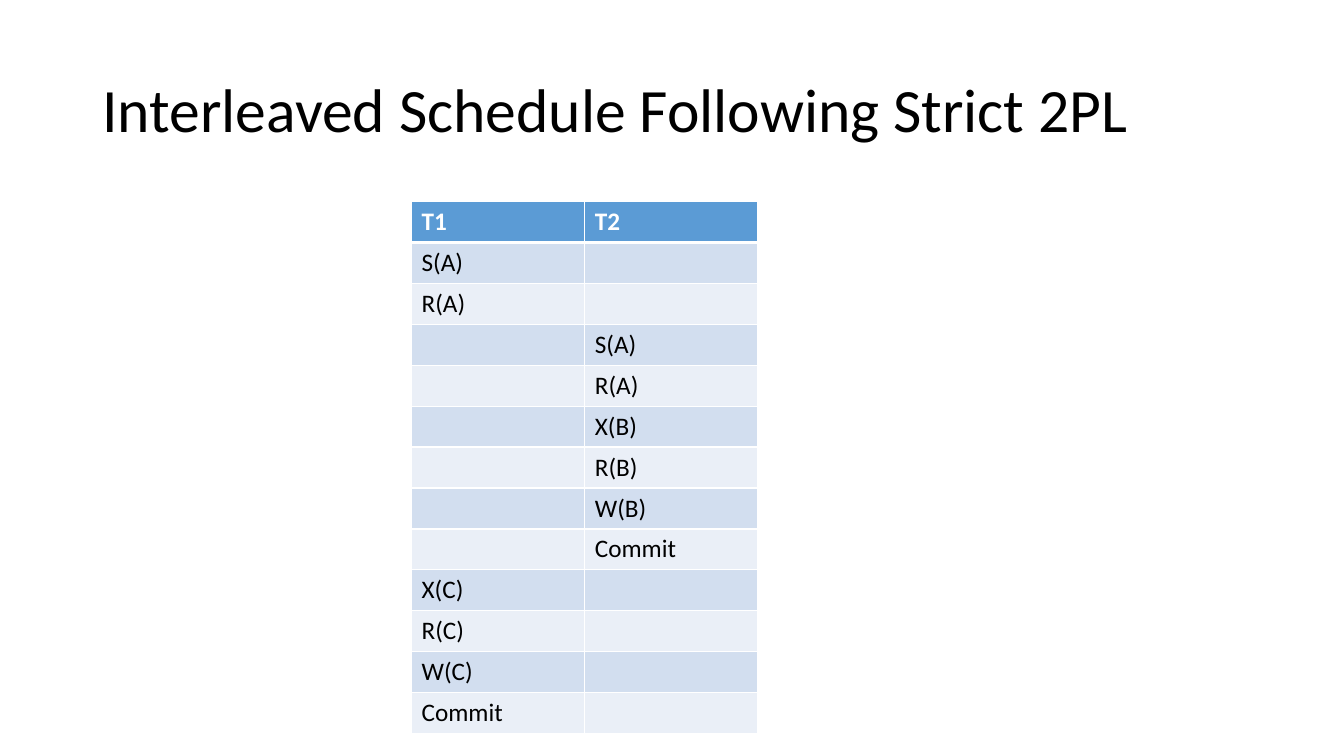
import pptx
import pptx.util
import pptx.dml.color
import pptx.enum.text
import pptx.oxml

PX = 9525  # EMU per px, 96 px to the inch
FONT = "Calibri"
COLORS = {
    "text": "000000",
    "white": "FFFFFF",
    "head": "5B9BD5",
    "dark": "D2DEEF",
    "light": "EAEFF7",
}
NS = "http://schemas.openxmlformats.org/drawingml/2006/main"

# Each step: column of the transaction, action
STEPS = [
    (0, "S(A)"), (0, "R(A)"),
    (1, "S(A)"), (1, "R(A)"), (1, "X(B)"), (1, "R(B)"), (1, "W(B)"), (1, "Commit"),
    (0, "X(C)"), (0, "R(C)"), (0, "W(C)"), (0, "Commit"),
]


def px(n):
    return pptx.util.Emu(n * PX)


def color(name):
    return pptx.dml.color.RGBColor.from_string(COLORS[name])


def add_run(para, text, size, tint, bold=False):
    run = para.add_run()
    run.text = text
    run.font.name = FONT
    run.font.size = pptx.util.Pt(size)
    run.font.bold = bold
    run.font.color.rgb = color(tint)


def add_title(slide, text):
    title = slide.shapes.title
    title.left, title.top, title.width, title.height = map(px, (88, 38, 1104, 139))
    frame = title.text_frame
    frame.word_wrap = True
    frame.auto_size = pptx.enum.text.MSO_AUTO_SIZE.NONE
    frame.vertical_anchor = pptx.enum.text.MSO_ANCHOR.MIDDLE
    para = frame.paragraphs[0]
    para.alignment = pptx.enum.text.PP_ALIGN.LEFT
    para.line_spacing = 0.9
    add_run(para, text, 44, "text")


def set_edges(cell, widths):
    props = cell._tc.get_or_add_tcPr()
    for i, (side, width) in enumerate(widths.items()):
        line = pptx.oxml.parse_xml(
            f'<a:ln{side} xmlns:a="{NS}" w="{pptx.util.Pt(width)}"><a:solidFill>'
            f'<a:srgbClr val="{COLORS["white"]}"/></a:solidFill></a:ln{side}>')
        props.insert(i, line)


def add_table(slide, rows, left, top, wide, high):
    count = len(rows[0])
    table = slide.shapes.add_table(
        len(rows), count, px(left), px(top),
        px(wide * count), px(high * len(rows))).table
    for r, row in enumerate(rows):
        table.rows[r].height = px(high)
        head = r == 0
        fill = "head" if head else ("light", "dark")[r % 2]
        for c, text in enumerate(row):
            cell = table.cell(r, c)
            # The rule below the header is thicker
            set_edges(cell, {"L": 1, "R": 1, "T": 3 if r == 1 else 1,
                             "B": 3 if head else 1})
            cell.fill.solid()
            cell.fill.fore_color.rgb = color(fill)
            if text:
                add_run(cell.text_frame.paragraphs[0], text, 18,
                        "white" if head else "text", head)


def main():
    deck = pptx.Presentation()
    deck.slide_width, deck.slide_height = px(1280), px(720)
    slide = deck.slides.add_slide(deck.slide_layouts[5])

    # Title
    add_title(slide, "Interleaved Schedule Following Strict 2PL")

    # Schedule
    rows = [["T1", "T2"]]
    rows += [[act if c == col else "" for c in range(2)] for col, act in STEPS]
    add_table(slide, rows, 392, 192, 165, 39)

    deck.save("out.pptx")


if __name__ == "__main__":
    main()
